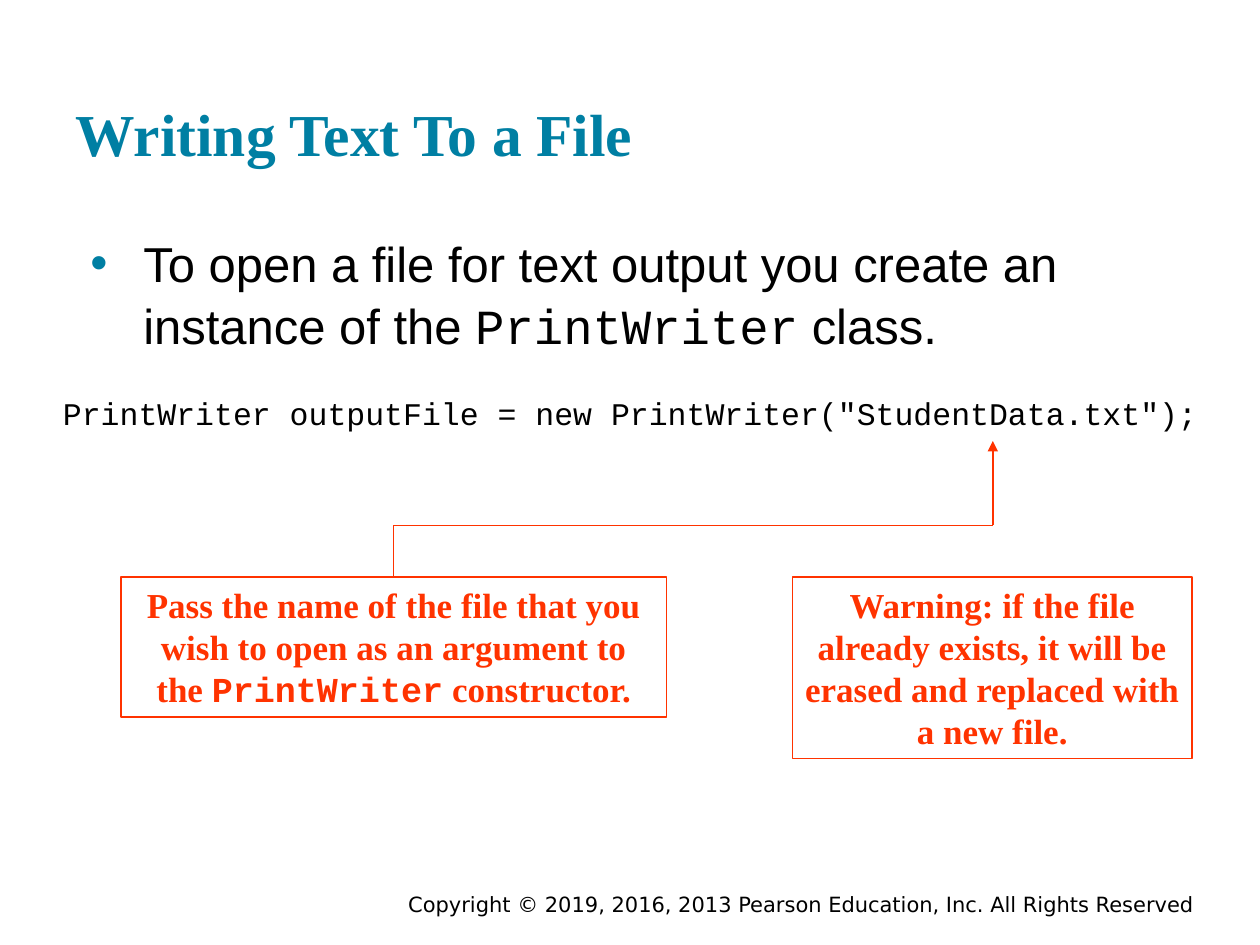
from lxml.etree import SubElement
from pptx import Presentation
from pptx.dml.color import RGBColor
from pptx.enum.shapes import MSO_CONNECTOR, MSO_SHAPE
from pptx.enum.text import MSO_ANCHOR, MSO_AUTO_SIZE, PP_ALIGN
from pptx.oxml.ns import qn
from pptx.util import Inches, Pt

COLORS = {"title": "007FA3", "text": "000000", "callout": "FF3300"}
SANS, SERIF, MONO, FOOTER = "Arial", "Times New Roman", "Courier New", "DejaVu Sans"
TOP_SIDE = 0


class SlideBuilder:
    """Holds the style and the current slide; lengths are percent of the slide's size."""

    def __init__(self, presentation):
        self.width = presentation.slide_width
        self.height = presentation.slide_height
        self.slide = presentation.slides.add_slide(presentation.slide_layouts[5])

    def across(self, percent):
        return round(self.width * percent / 100)

    def down(self, percent):
        return round(self.height * percent / 100)

    def place(self, box):
        left, top, width, height = box
        return self.across(left), self.down(top), self.across(width), self.down(height)

    def color(self, name):
        return RGBColor.from_string(COLORS[name])

    def fill_text(self, shape, parts, size, font, color, bold=False,
                  align=PP_ALIGN.LEFT, anchor=MSO_ANCHOR.TOP, inset=0.05):
        """Fill a shape with one paragraph; every second part is set as code."""
        frame = shape.text_frame
        frame.word_wrap = True
        frame.auto_size = MSO_AUTO_SIZE.NONE
        frame.vertical_anchor = anchor
        frame.margin_left = frame.margin_right = Inches(0.1)
        frame.margin_top = frame.margin_bottom = Inches(inset)
        paragraph = frame.paragraphs[0]
        paragraph.alignment = align
        paragraph.space_before = Pt(0)
        paragraph.font.size = Pt(size)
        paragraph.font.bold = bold
        paragraph.font.name = font
        paragraph.font.color.rgb = self.color(color)
        for index, part in enumerate(parts):
            run = paragraph.add_run()
            run.text = part
            if index % 2:
                run.font.name = MONO
        return paragraph

    def title(self, box, text):
        shape = self.slide.shapes.title
        shape.left, shape.top, shape.width, shape.height = self.place(box)
        self.fill_text(shape, [text], 34, SERIF, "title", bold=True,
                       anchor=MSO_ANCHOR.BOTTOM, inset=0.1)

    def text(self, box, parts, size, font, **style):
        shape = self.slide.shapes.add_textbox(*self.place(box))
        return self.fill_text(shape, parts, size, font, "text", **style)

    def bullet(self, box, parts):
        paragraph = self.text(box, parts, 28, SANS, inset=0.1)
        paragraph.line_spacing = 1.05
        properties = paragraph._p.get_or_add_pPr()
        properties.set("marL", str(Inches(0.53)))
        properties.set("indent", str(Inches(-0.42)))
        # Bullet elements must come before the default run properties.
        default_run = properties.find(qn("a:defRPr"))
        bullet_color = SubElement(properties, qn("a:buClr"))
        SubElement(bullet_color, qn("a:srgbClr"), val=COLORS["title"])
        bullet_font = SubElement(properties, qn("a:buFont"), typeface=SANS)
        bullet_character = SubElement(properties, qn("a:buChar"), char="•")
        for element in (bullet_color, bullet_font, bullet_character):
            default_run.addprevious(element)

    def callout(self, box, parts):
        shape = self.slide.shapes.add_shape(MSO_SHAPE.RECTANGLE, *self.place(box))
        shape.shadow.inherit = False
        shape.fill.background()
        shape.line.color.rgb = self.color("callout")
        shape.line.width = Pt(0.75)
        self.fill_text(shape, parts, 20, SERIF, "callout", bold=True,
                       align=PP_ALIGN.CENTER)
        return shape

    def line(self, start, end, arrow=False):
        connector = self.slide.shapes.add_connector(
            MSO_CONNECTOR.STRAIGHT, self.across(start[0]), self.down(start[1]),
            self.across(end[0]), self.down(end[1]))
        connector.line.color.rgb = self.color("callout")
        connector.line.width = Pt(0.75)
        properties = connector._element.spPr
        if arrow:
            SubElement(properties.find(qn("a:ln")), qn("a:tailEnd"), type="triangle")
        SubElement(properties, qn("a:effectLst"))
        return connector


def main():
    presentation = Presentation()
    presentation.slide_width, presentation.slide_height = Inches(10), Inches(7.5)
    builder = SlideBuilder(presentation)

    builder.text((17.5, 93.73, 78.3, 2.93),
                 ["Copyright © 2019, 2016, 2013 Pearson Education, Inc. All Rights Reserved"],
                 12, FOOTER, align=PP_ALIGN.RIGHT)
    builder.title((5, 3.2, 90, 16), "Writing Text To a File")
    builder.bullet((5.1, 23.07, 90, 16),
                   ["To open a file for text output you create an instance of the ",
                    "PrintWriter", " class."])
    builder.text((2.1, 41.07, 95.8, 5.33),
                 ['PrintWriter outputFile = new PrintWriter("StudentData.txt");'],
                 18, MONO, align=PP_ALIGN.CENTER)

    callout_left, callout_top, callout_width = 9.6, 61.07, 43.3
    argument = builder.callout(
        (callout_left, callout_top, callout_width, 14.8),
        ["Pass the name of the file that you wish to open as an argument to the ",
         "PrintWriter", " constructor."])
    builder.callout(
        (62.9, callout_top, 31.7, 19.2),
        ["Warning: if the file already exists, it will be erased and replaced "
         "with a new file."])

    center = callout_left + callout_width / 2
    bend, file_name, code_bottom = 55.6, 78.8, 46.67
    riser = builder.line((center, callout_top), (center, bend))
    riser.begin_connect(argument, TOP_SIDE)
    builder.line((center, bend), (file_name, bend))
    builder.line((file_name, bend), (file_name, code_bottom), arrow=True)

    presentation.save("out.pptx")


if __name__ == "__main__":
    main()
